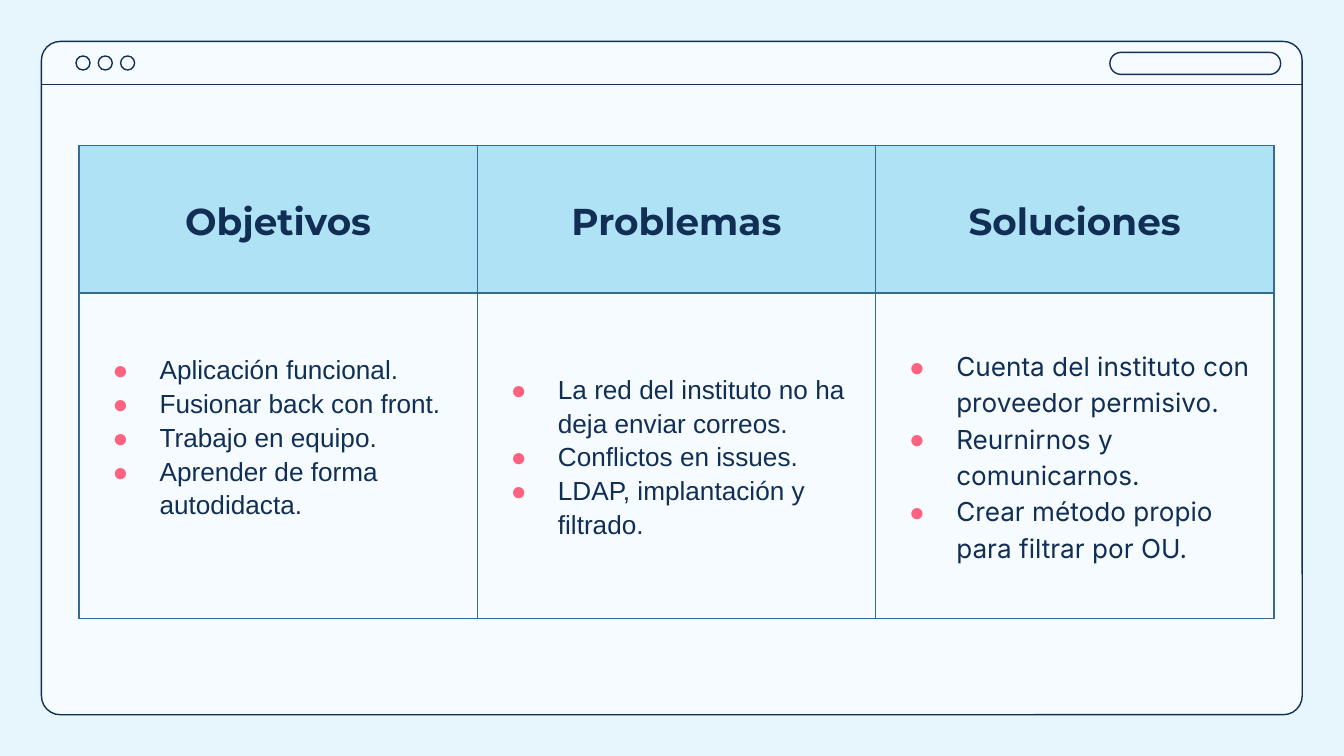
from lxml import etree
from pptx import Presentation
from pptx.dml.color import RGBColor
from pptx.enum.shapes import MSO_CONNECTOR, MSO_SHAPE
from pptx.enum.text import MSO_ANCHOR, PP_ALIGN
from pptx.oxml.ns import qn
from pptx.util import Pt

ROUNDED, CIRCLE = MSO_SHAPE.ROUNDED_RECTANGLE, MSO_SHAPE.OVAL
STRAIGHT = MSO_CONNECTOR.STRAIGHT
MIDDLE, CENTER, LEFT = MSO_ANCHOR.MIDDLE, PP_ALIGN.CENTER, PP_ALIGN.LEFT

# Content: heading, body font, extra space under the list, items
COLUMNS = [
    ("Objetivos", "Arial", 21, [
        "Aplicación funcional.",
        "Fusionar back con front.",
        "Trabajo en equipo.",
        "Aprender de forma autodidacta.",
    ]),
    ("Problemas", "Arial", 0, [
        "La red del instituto no ha deja enviar correos.",
        "Conflictos en issues.",
        "LDAP, implantación y filtrado.",
    ]),
    ("Soluciones", "Inter", 0, [
        "Cuenta del instituto con proveedor permisivo.",
        "Reurnirnos y comunicarnos.",
        "Crear método propio para filtrar por OU.",
    ]),
]

# Colours and measures, in points
NAVY, SKY, PAPER, PALE = "112E54", "AEE2F4", "F5FBFF", "E6F6FC"
BORDER, PINK = "356B90", "FF6180"
WINDOW = (22.2, 22.2, 675.4, 360.7)
BAR_BOTTOM = 45.2
TABLE_LEFT, TABLE_TOP, COLUMN_WIDTH = 42.3, 77.75, 213.4
ROW_HEIGHTS = (79.2, 174.2)
INSET = 7.2
LINE_WIDTH = 0.75


def colour(value):
    return RGBColor.from_string(value)


def add_outline(page, kind, left, top, width, height, fill=None, radius=None):
    shape = page.shapes.add_shape(kind, Pt(left), Pt(top), Pt(width), Pt(height))
    shape.shadow.inherit = False
    if radius is not None:
        shape.adjustments[0] = radius
    if fill:
        shape.fill.solid()
        shape.fill.fore_color.rgb = colour(fill)
    else:
        shape.fill.background()
    shape.line.color.rgb = colour(NAVY)
    shape.line.width = Pt(LINE_WIDTH)


def add_bullet(para):
    properties = para._p.get_or_add_pPr()
    properties.set("marL", str(Pt(36)))
    properties.set("indent", str(-Pt(25.2)))
    bullet_colour = etree.SubElement(properties, qn("a:buClr"))
    etree.SubElement(bullet_colour, qn("a:srgbClr"), val=PINK)
    etree.SubElement(properties, qn("a:buFont"), typeface="Arial")
    etree.SubElement(properties, qn("a:buChar"), char="●")


def write_lines(cell, lines, font, size, bold=False, align=LEFT, bullets=False):
    frame = cell.text_frame
    for index, text in enumerate(lines):
        para = frame.add_paragraph() if index else frame.paragraphs[0]
        para.alignment = align
        para.line_spacing = 1.15
        if bullets:
            add_bullet(para)
        span = para.add_run()
        span.text = text
        span.font.name = font
        span.font.size = Pt(size)
        span.font.bold = bold
        span.font.color.rgb = colour(NAVY)


def format_cell(cell, fill, extra_bottom=0):
    cell.vertical_anchor = MIDDLE
    cell.margin_left = cell.margin_right = cell.margin_top = Pt(INSET)
    cell.margin_bottom = Pt(INSET + extra_bottom)
    properties = cell._tc.get_or_add_tcPr()
    for side in ("a:lnL", "a:lnR", "a:lnT", "a:lnB"):
        edge = etree.SubElement(properties, qn(side), w=str(Pt(LINE_WIDTH)))
        edge_fill = etree.SubElement(edge, qn("a:solidFill"))
        etree.SubElement(edge_fill, qn("a:srgbClr"), val=BORDER)
    cell.fill.solid()
    cell.fill.fore_color.rgb = colour(fill)


def draw_window(page):
    add_outline(page, ROUNDED, *WINDOW, fill=PAPER, radius=0.028)
    for index in range(3):
        add_outline(page, CIRCLE, 40.7 + 11.95 * index, 30, 7.5, 7.5)
    add_outline(page, ROUNDED, 594.6, 28.1, 91.5, 11.8, radius=0.5)
    left, width = WINDOW[0], WINDOW[2]
    rule = page.shapes.add_connector(
        STRAIGHT, Pt(left), Pt(BAR_BOTTOM), Pt(left + width), Pt(BAR_BOTTOM))
    rule.line.color.rgb = colour(NAVY)
    rule.line.width = Pt(LINE_WIDTH)
    etree.SubElement(rule._element.spPr, qn("a:effectLst"))


def draw_table(page):
    table = page.shapes.add_table(
        len(ROW_HEIGHTS), len(COLUMNS), Pt(TABLE_LEFT), Pt(TABLE_TOP),
        Pt(COLUMN_WIDTH * len(COLUMNS)), Pt(sum(ROW_HEIGHTS))).table
    table.horz_banding = False
    for row, height in zip(table.rows, ROW_HEIGHTS):
        row.height = Pt(height)
    for index, (heading, font, extra, items) in enumerate(COLUMNS):
        table.columns[index].width = Pt(COLUMN_WIDTH)
        head, body = table.cell(0, index), table.cell(1, index)
        format_cell(head, SKY)
        write_lines(head, [heading], "Montserrat", 20, bold=True, align=CENTER)
        format_cell(body, PAPER, extra_bottom=extra)
        write_lines(body, items, font, 14, bullets=True)


def main():
    deck = Presentation()
    deck.slide_width, deck.slide_height = Pt(720), Pt(405)
    page = deck.slides.add_slide(deck.slide_layouts[6])
    page.background.fill.solid()
    page.background.fill.fore_color.rgb = colour(PALE)
    draw_window(page)
    draw_table(page)
    deck.save("out.pptx")


if __name__ == "__main__":
    main()
